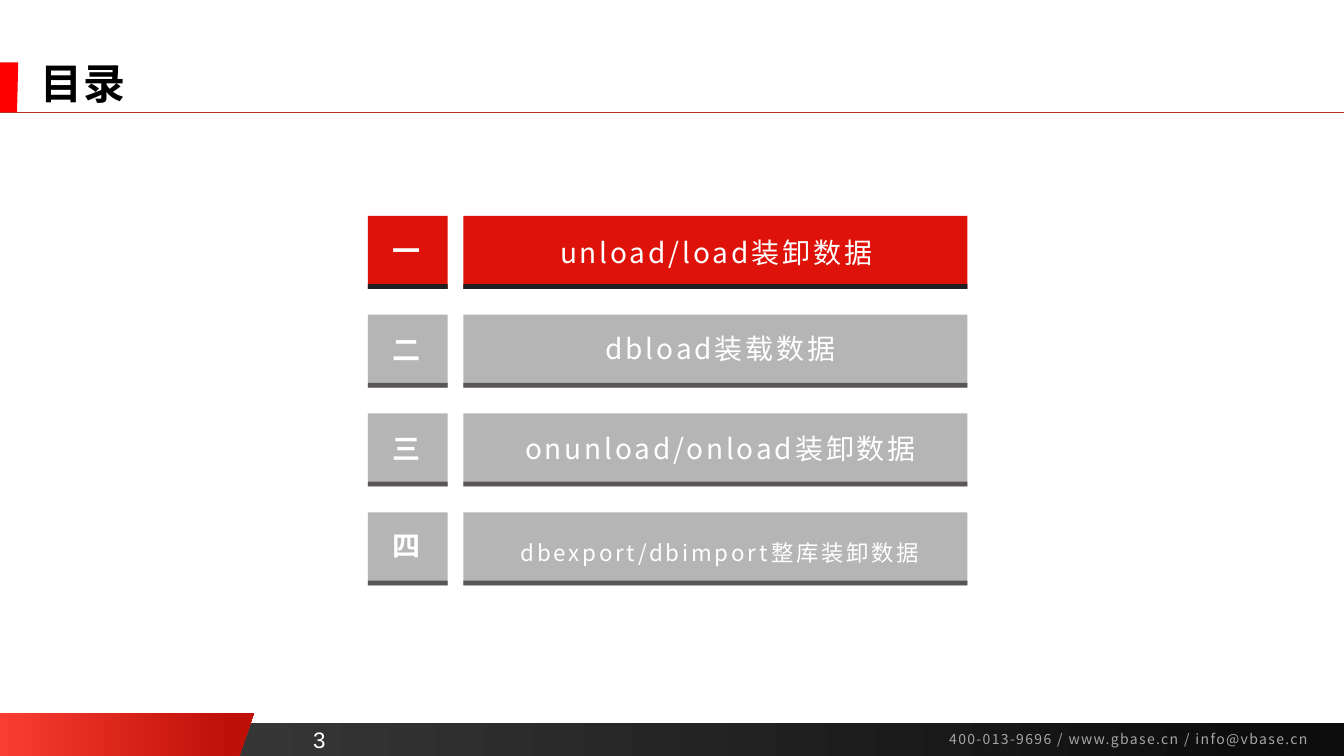
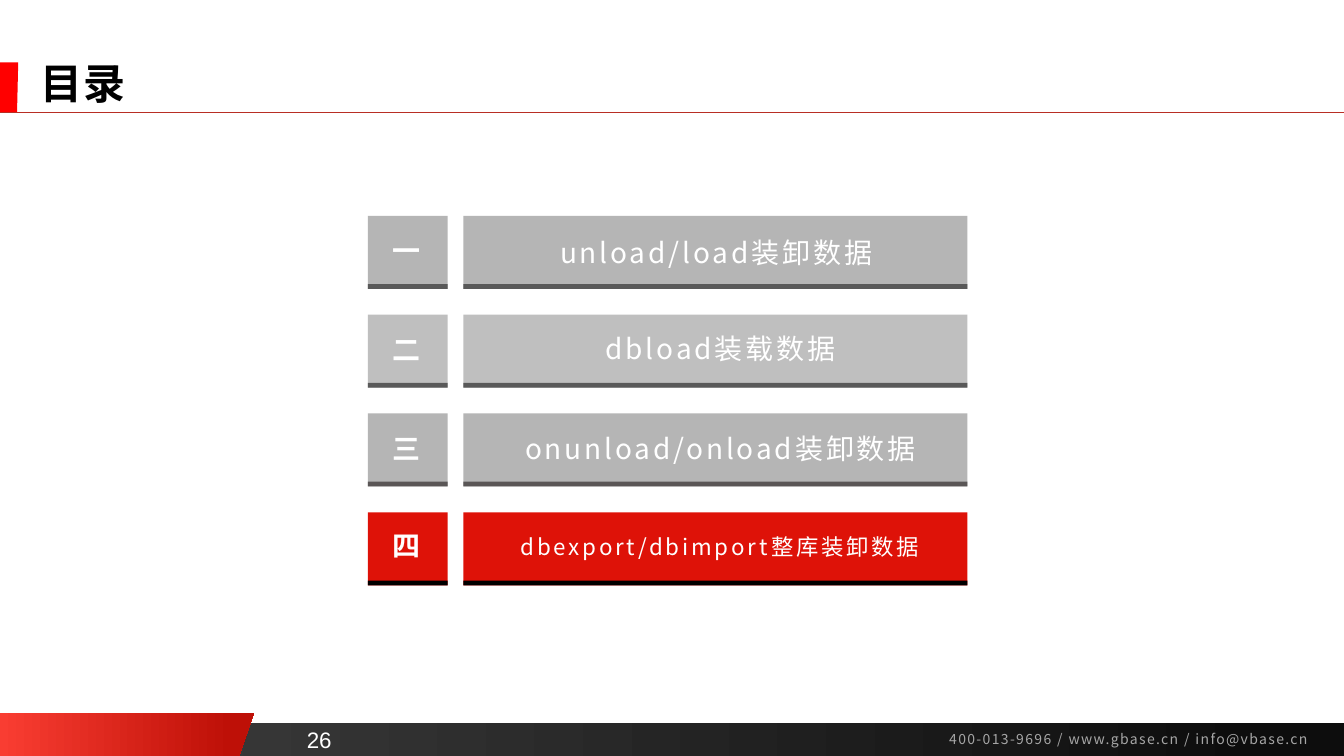
import pptx
import pptx.dml.color
import pptx.enum.dml
import pptx.enum.shapes
import pptx.enum.text
import pptx.oxml
import pptx.oxml.ns
import pptx.util
from pptx.util import Cm

CJK_FONT = "Noto Sans CJK SC"
WHITE, BLACK, RED, GREY, LIGHT_GREY = "FFFFFF", "000000", "DE1208", "B5B5B5", "BFBFBF"
CHARCOAL, WARM_EDGE, GREY_EDGE = "202022", "5A5656", "595959"

SLIDE_W, SLIDE_H = 33.87, 19.05
ROW_TOP, ROW_PITCH, ROW_H, EDGE_H = 5.44, 2.49, 1.84, 0.12
TILE_X, TILE_W = 9.27, 2.01
BAR_X, BAR_W = 11.68, 12.7
LABEL_X, LABEL_W = 12.17, 11.76

# numeral, its drop below the row top, label, label size, label drop, label shift right
ENTRIES = [
    ("一", 0.33, "unload/load装卸数据", 20, 0.36, 0),
    ("二", 0.33, "dbload装载数据", 20, 0.3, 0.11),
    ("三", 0.33, "onunload/onload装卸数据", 20, 0.33, 0.11),
    ("四", 0.28, "dbexport/dbimport整库装卸数据", 16, 0.41, 0.09),
]

# page number, (fill, edge) of each row, extra drop of the last label
AGENDAS = [
    ("3", [(RED, CHARCOAL)] + [(GREY, WARM_EDGE)] * 3, 0.15),
    ("26", [(GREY, GREY_EDGE), (LIGHT_GREY, GREY_EDGE), (GREY, WARM_EDGE), (RED, BLACK)], 0),
]


def paint(color_format, hex_color):
    color_format.rgb = pptx.dml.color.RGBColor.from_string(hex_color)


def fill_shape(shape, *stops):
    """Fill with one colour, or with a left-to-right gradient of (position, colour) stops."""
    shape.shadow.inherit = False
    shape.line.fill.background()
    if len(stops) == 1:
        shape.fill.solid()
        paint(shape.fill.fore_color, stops[0])
        return
    shape.fill.gradient()
    shape.fill.gradient_angle = 0
    for gradient_stop, (position, color) in zip(shape.fill.gradient_stops, stops):
        gradient_stop.position = position
        paint(gradient_stop.color, color)


def add_rect(slide, left, top, width, height, *stops):
    rect = slide.shapes.add_shape(
        pptx.enum.shapes.MSO_SHAPE.RECTANGLE, Cm(left), Cm(top), Cm(width), Cm(height))
    fill_shape(rect, *stops)


def add_outline(slide, points, *stops):
    corners = [(Cm(x), Cm(y)) for x, y in points]
    builder = slide.shapes.build_freeform(*corners[0], scale=1.0)
    builder.add_line_segments(corners[1:], close=True)
    fill_shape(builder.convert_to_shape(), *stops)


def add_run(paragraph, text, size, color, font=CJK_FONT, bold=False, spacing=0):
    """Add a run; spacing is the letter spacing in points."""
    run = paragraph.add_run()
    run.text = text
    run.font.size = pptx.util.Pt(size)
    run.font.bold = bold
    run.font.name = font
    paint(run.font.color, color)
    properties = run._r.get_or_add_rPr()
    properties.set("spc", str(spacing * 100))
    east_asian = pptx.oxml.parse_xml(
        f'<a:ea {pptx.oxml.ns.nsdecls("a")} typeface="{font}"/>')
    properties.find(pptx.oxml.ns.qn("a:latin")).addnext(east_asian)


def add_text(slide, left, top, width, height, text, size, color,
             align="LEFT", anchor="TOP", wrap=True, **style):
    box = slide.shapes.add_textbox(Cm(left), Cm(top), Cm(width), Cm(height))
    frame = box.text_frame
    frame.word_wrap = wrap
    frame.vertical_anchor = pptx.enum.text.MSO_ANCHOR[anchor]
    paragraph = frame.paragraphs[0]
    paragraph.alignment = pptx.enum.text.PP_ALIGN[align]
    add_run(paragraph, text, size, color, **style)


def add_rule(slide, top, color, weight):
    rule = slide.shapes.add_connector(
        pptx.enum.shapes.MSO_CONNECTOR.STRAIGHT, 0, Cm(top), Cm(SLIDE_W), Cm(top))
    paint(rule.line.color, color)
    rule.line.width = pptx.util.Pt(weight)
    rule.element.spPr.append(
        pptx.oxml.parse_xml(f'<a:effectLst {pptx.oxml.ns.nsdecls("a")}/>'))


def add_frame(slide):
    """Draw the footer band, the title marker and the title rule."""
    add_rect(slide, 0, 18.22, SLIDE_W, 0.83, (0, "404040"), (0.94, "0D0D0D"))
    add_outline(slide, [(0, 17.97), (6.4, 17.97), (6.03, SLIDE_H), (0, SLIDE_H)],
                (0, "F93D32"), (0.91, "BE1007"))
    add_outline(slide, [(0, 1.57), (0.46, 1.57), (0.43, 2.83), (0, 2.83)], "FF0000")
    add_text(slide, 23.67, 18.28, 10.13, 0.68,
             "400-013-9696 / www.gbase.cn / info@vbase.cn", 10, "A6A6A6", spacing=1)
    add_rule(slide, 2.83, "B82E24", 0.5)


def prepare_layout(prs):
    """Move the shared frame onto the title-only layout and return that layout."""
    layout = prs.slide_layouts.get_by_name("Title Only")
    for placeholder in list(layout.placeholders):
        if placeholder.placeholder_format.type == pptx.enum.shapes.PP_PLACEHOLDER.TITLE:
            placeholder.left, placeholder.top = Cm(0.76), Cm(1.5)
            placeholder.width, placeholder.height = Cm(31.14), Cm(1.35)
        else:
            layout.shapes.element.remove(placeholder.element)
    return layout


def add_title(slide, text):
    title = slide.shapes.title
    title.left, title.top, title.width, title.height = Cm(0.76), Cm(1.5), Cm(31.14), Cm(1.35)
    frame = title.text_frame
    frame.auto_size = pptx.enum.text.MSO_AUTO_SIZE.NONE
    frame.vertical_anchor = pptx.enum.text.MSO_ANCHOR.MIDDLE
    paragraph = frame.paragraphs[0]
    paragraph.alignment = pptx.enum.text.PP_ALIGN.LEFT
    paragraph.line_spacing = 0.9
    add_run(paragraph, text, 30, BLACK, bold=True, spacing=1)


def add_entry(slide, row, fill, edge, extra_drop):
    numeral, numeral_drop, label, size, label_drop, shift = ENTRIES[row]
    top = ROW_TOP + row * ROW_PITCH
    for left, width in ((TILE_X, TILE_W), (BAR_X, BAR_W)):
        add_rect(slide, left, top, width, ROW_H, fill)
        add_rect(slide, left, top + ROW_H - EDGE_H, width, EDGE_H, edge)
    add_text(slide, 9.65, top + numeral_drop, 1.22, 1.12, numeral, 20, WHITE,
             wrap=False, bold=True)
    add_text(slide, LABEL_X + shift, top + label_drop + extra_drop, LABEL_W, 1.12,
             label, size, WHITE, align="CENTER", spacing=2)


def add_agenda(slide, page, row_colors, last_drop):
    add_title(slide, "目录")
    add_text(slide, 7.36, 18.16, 1.37, 0.94, page, 16, WHITE, align="CENTER",
             anchor="BOTTOM", wrap=False, font="Arial")
    for row, (fill, edge) in enumerate(row_colors):
        is_last = row == len(row_colors) - 1
        add_entry(slide, row, fill, edge, last_drop if is_last else 0)


def main():
    prs = pptx.Presentation()
    prs.slide_width, prs.slide_height = Cm(SLIDE_W), Cm(SLIDE_H)
    layout = prepare_layout(prs)
    slides = [prs.slides.add_slide(layout) for _ in AGENDAS]

    add_frame(slides[0])
    for shape in list(slides[0].shapes):
        if not shape.is_placeholder:
            layout.shapes.element.append(shape.element)

    for slide, agenda in zip(slides, AGENDAS):
        add_agenda(slide, *agenda)
    prs.save("out.pptx")


if __name__ == "__main__":
    main()
